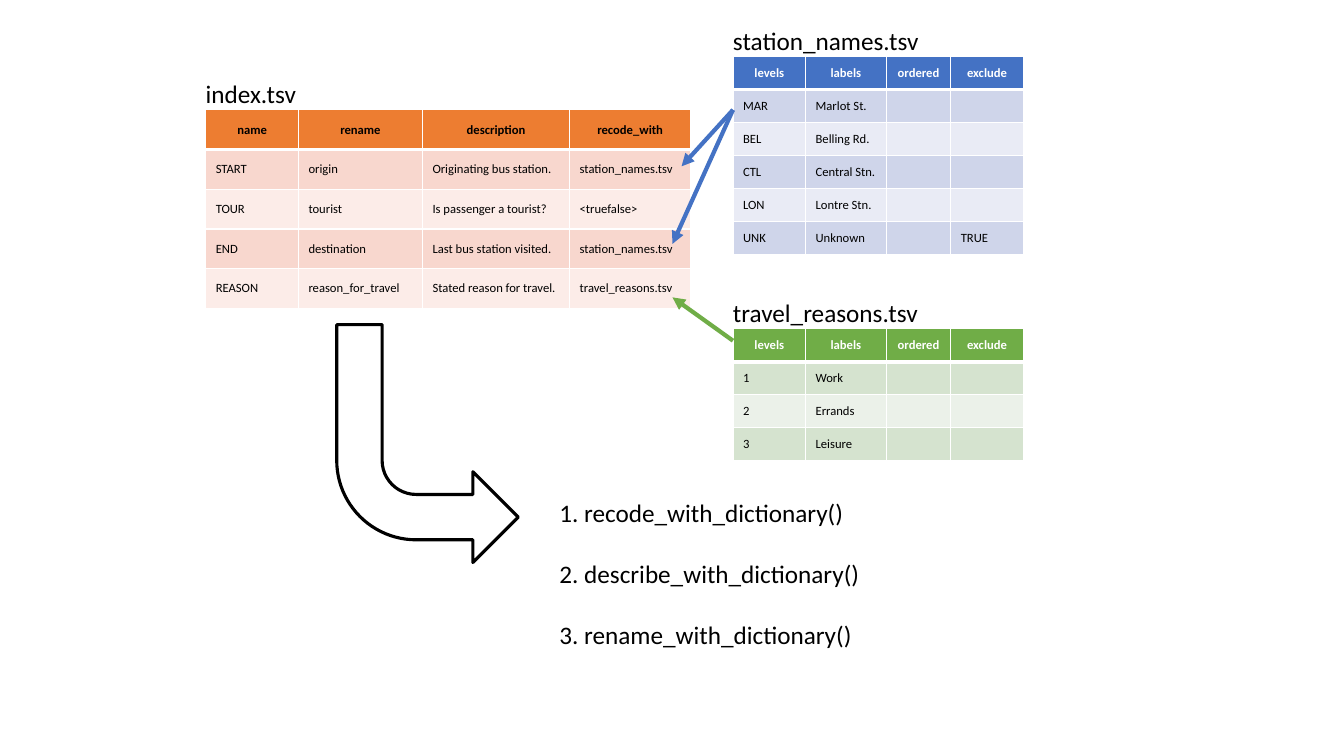
from dataclasses import dataclass

from lxml import etree
from pptx import Presentation
from pptx.dml.color import RGBColor
from pptx.enum.shapes import MSO_CONNECTOR, MSO_SHAPE
from pptx.enum.text import MSO_ANCHOR, MSO_AUTO_SIZE, PP_ALIGN
from pptx.oxml.ns import qn
from pptx.util import Inches, Pt

STRAIGHT = MSO_CONNECTOR.STRAIGHT
BENT_ARROW = MSO_SHAPE.BENT_ARROW
MIDDLE = MSO_ANCHOR.MIDDLE
GROW = MSO_AUTO_SIZE.SHAPE_TO_FIT_TEXT
LEFT, CENTER = PP_ALIGN.LEFT, PP_ALIGN.CENTER


@dataclass(frozen=True)
class Theme:
    """Colours, font and type sizes of the slide."""
    font: str = "Calibri"
    cell_size: int = 9
    text_size: int = 18
    black: str = "000000"
    white: str = "FFFFFF"
    orange: str = "ED7D31"
    orange_bands: tuple = ("F8D7CE", "FCECE8")
    blue: str = "4472C4"
    blue_bands: tuple = ("CFD5EA", "E9EBF5")
    green: str = "70AD47"
    green_bands: tuple = ("D5E3CF", "EBF1E9")
    grid_line: float = 1
    header_line: float = 3
    link_line: float = 3
    outline: float = 2.25


THEME = Theme()
SLIDE_SIZE = (13.33, 7.5)
INDEX_LEFT, LEVELS_LEFT = 2.04, 7.27
TITLE_RISE = 0.31
TITLE_SIZE = (1.86, 0.35)
INDEX_WIDTHS = (0.92, 1.23, 1.46, 1.2)
LEVELS_WIDTHS = (0.72, 0.8, 0.64, 0.72)
LEVELS_HEADER = ("levels", "labels", "ordered", "exclude")

TABLES = [
    dict(title="index.tsv", left=INDEX_LEFT, top=1.09, widths=INDEX_WIDTHS,
         row_height=0.394, accent=THEME.orange, bands=THEME.orange_bands,
         header_color=THEME.black, rows=[
             ("name", "rename", "description", "recode_with"),
             ("START", "origin", "Originating bus station.", "station_names.tsv"),
             ("TOUR", "tourist", "Is passenger a tourist?", "<truefalse>"),
             ("END", "destination", "Last bus station visited.", "station_names.tsv"),
             ("REASON", "reason_for_travel", "Stated reason for travel.",
              "travel_reasons.tsv")]),
    dict(title="station_names.tsv", left=LEVELS_LEFT, top=0.56, widths=LEVELS_WIDTHS,
         row_height=0.328, accent=THEME.blue, bands=THEME.blue_bands,
         header_color=THEME.white, rows=[
             LEVELS_HEADER,
             ("MAR", "Marlot St.", "", ""),
             ("BEL", "Belling Rd.", "", ""),
             ("CTL", "Central Stn.", "", ""),
             ("LON", "Lontre Stn.", "", ""),
             ("UNK", "Unknown", "", "TRUE")]),
    dict(title="travel_reasons.tsv", left=LEVELS_LEFT, top=3.26, widths=LEVELS_WIDTHS,
         row_height=0.328, accent=THEME.green, bands=THEME.green_bands,
         header_color=THEME.white, rows=[
             LEVELS_HEADER,
             ("1", "Work", "", ""),
             ("2", "Errands", "", ""),
             ("3", "Leisure", "", "")]),
]
LINKS = [
    ((LEVELS_LEFT, 1.09), (6.76, 1.65), THEME.blue),
    ((LEVELS_LEFT, 1.09), (6.67, 2.42), THEME.blue),
    ((LEVELS_LEFT, 3.38), (6.67, 2.95), THEME.green),
]
STEPS = ["1. recode_with_dictionary()", "2. describe_with_dictionary()",
         "3. rename_with_dictionary()"]
STEPS_PLACE = (5.45, 4.88, 5.27, 1.62)
FLOW_PLACE = (3.34, 3.22, 1.8, 2.36)


def inches(values):
    """Turn a sequence of numbers into lengths."""
    return [Inches(value) for value in values]


def write(para, text, size=THEME.text_size, color=THEME.black, bold=False, align=LEFT):
    """Put formatted text in a paragraph; an empty one keeps its type size."""
    para.alignment = align
    if not text:
        etree.SubElement(para._p, qn("a:endParaRPr"), sz=str(size * 100))
        return
    span = para.add_run()
    span.text = text
    span.font.name, span.font.size, span.font.bold = THEME.font, Pt(size), bold
    span.font.color.rgb = RGBColor.from_string(color)


def add_text(page, lines, place, margins=None, wrap=True, gap=0):
    """Add a text box with one paragraph per line."""
    frame = page.shapes.add_textbox(*inches(place)).text_frame
    frame.word_wrap, frame.auto_size = wrap, GROW
    if margins:
        (frame.margin_left, frame.margin_top,
         frame.margin_right, frame.margin_bottom) = inches(margins)
    for number, line in enumerate(lines):
        para = frame.add_paragraph() if number else frame.paragraphs[0]
        para.space_before = Pt(gap if number else 0)
        write(para, line)


def set_borders(cell, row):
    """Draw white cell borders, thicker between header and body."""
    thick = {0: "lnB", 1: "lnT"}.get(row)
    for side in ("lnL", "lnR", "lnT", "lnB"):
        width = THEME.header_line if side == thick else THEME.grid_line
        line = etree.SubElement(cell._tc.get_or_add_tcPr(), qn("a:" + side),
                                w=str(Pt(width)))
        fill = etree.SubElement(line, qn("a:solidFill"))
        etree.SubElement(fill, qn("a:srgbClr"), val=THEME.white)


def add_table(page, left, top, widths, row_height, rows, accent, bands,
              header_color, **_):
    """Add a table with a coloured header and banded rows."""
    place = inches((left, top, sum(widths), row_height * len(rows)))
    table = page.shapes.add_table(len(rows), len(widths), *place).table
    for column, width in zip(table.columns, widths):
        column.width = Inches(width)
    for row, texts in enumerate(rows):
        table.rows[row].height = Inches(row_height)
        header = row == 0
        fill = accent if header else bands[(row - 1) % 2]
        for column, text in enumerate(texts):
            cell = table.cell(row, column)
            cell.vertical_anchor = MIDDLE
            set_borders(cell, row)
            cell.fill.solid()
            cell.fill.fore_color.rgb = RGBColor.from_string(fill)
            write(cell.text_frame.paragraphs[0], text, size=THEME.cell_size,
                  color=header_color if header else THEME.black,
                  bold=header, align=CENTER if header else LEFT)


def add_link(page, start, end, color):
    """Add a straight arrow from start to end."""
    link = page.shapes.add_connector(STRAIGHT, *inches(start + end))
    link.line.width = Pt(THEME.link_line)
    link.line.color.rgb = RGBColor.from_string(color)
    etree.SubElement(link.line._get_or_add_ln(), qn("a:tailEnd"), type="triangle")
    etree.SubElement(link._element.spPr, qn("a:effectLst"))


def add_flow_arrow(page):
    """Add the bent arrow that leads from the index to the steps."""
    arrow = page.shapes.add_shape(BENT_ARROW, *inches(FLOW_PLACE))
    arrow.shadow.inherit = False
    arrow.rotation = 180
    arrow._element.spPr.find(qn("a:xfrm")).set("flipH", "1")
    arrow.fill.solid()
    arrow.fill.fore_color.rgb = RGBColor.from_string(THEME.white)
    arrow.line.color.rgb = RGBColor.from_string(THEME.black)
    arrow.line.width = Pt(THEME.outline)


def main():
    """Build the slide and save it."""
    deck = Presentation()
    deck.slide_width, deck.slide_height = inches(SLIDE_SIZE)
    page = deck.slides.add_slide(deck.slide_layouts[6])
    for table in TABLES:
        add_table(page, **table)
    for link in LINKS:
        add_link(page, *link)
    add_text(page, STEPS, STEPS_PLACE, gap=22)
    add_flow_arrow(page)
    for table in TABLES:
        place = (table["left"], table["top"] - TITLE_RISE, *TITLE_SIZE)
        add_text(page, [table["title"]], place, margins=(0, 0, 0, 0.05), wrap=False)
    deck.save("out.pptx")


main()
